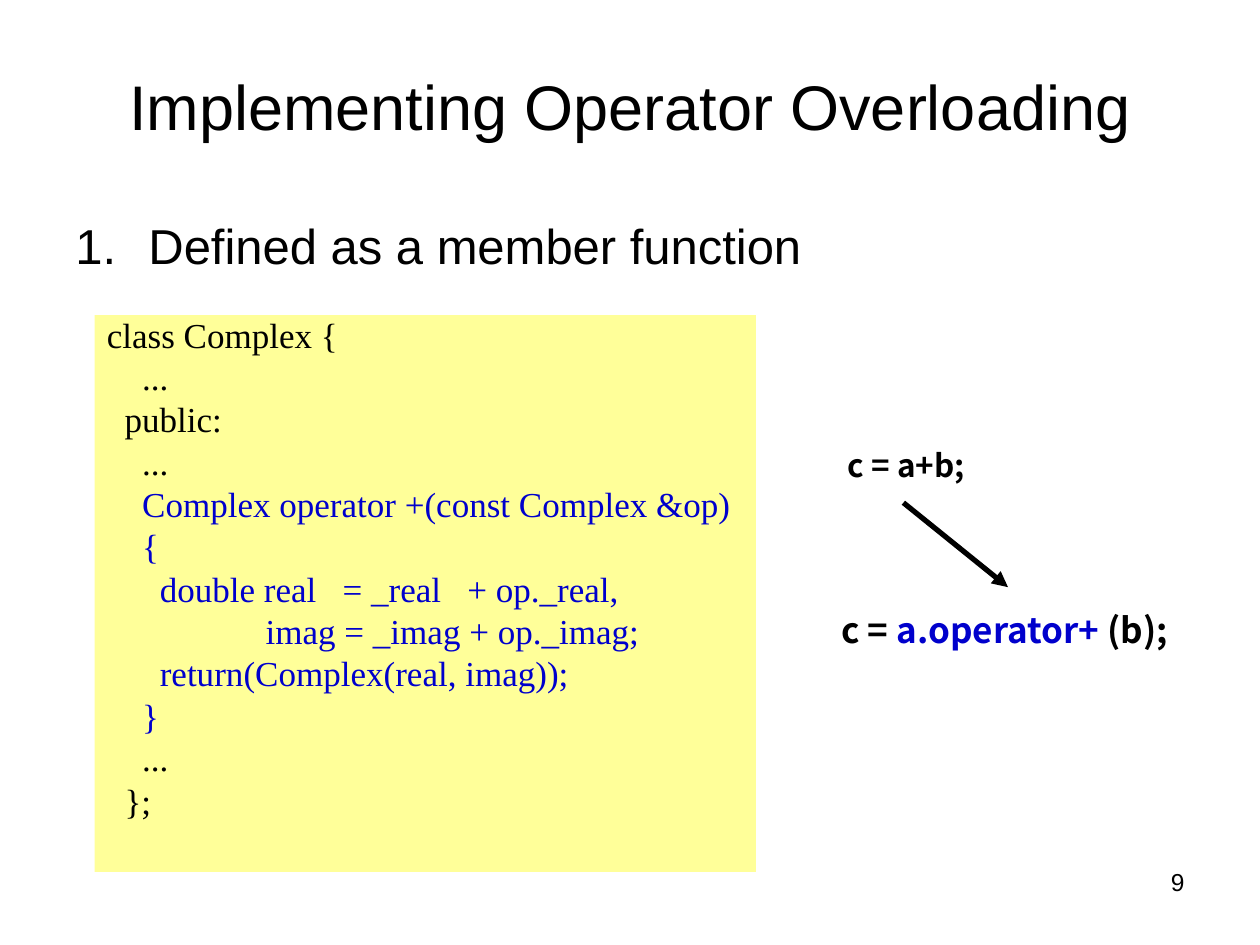
"""Build a slide on implementing operator overloading as a member function."""
from lxml.etree import SubElement
from pptx import Presentation
from pptx.dml.color import RGBColor
from pptx.enum.shapes import MSO_CONNECTOR, MSO_SHAPE
from pptx.enum.text import MSO_ANCHOR, MSO_AUTO_SIZE, PP_ALIGN
from pptx.oxml.ns import qn
from pptx.util import Inches, Pt

BLACK = RGBColor(0x00, 0x00, 0x00)
BLUE = RGBColor(0x00, 0x00, 0xCC)
YELLOW = RGBColor(0xFF, 0xFF, 0x99)
SANS, SERIF, CODE_CALL = "Arial", "Times New Roman", "Noto Sans CJK KR"
SPACE_WIDTH = 0.07

CODE_LINES = [
    (0, "class Complex {", BLACK),
    (4, "...", BLACK),
    (2, "public:", BLACK),
    (4, "...", BLACK),
    (4, "Complex operator +(const Complex &op)", BLUE),
    (4, "{", BLUE),
    (6, "double real   = _real   + op._real,", BLUE),
    (18, "imag = _imag + op._imag;", BLUE),
    (6, "return(Complex(real, imag));", BLUE),
    (4, "}", BLUE),
    (4, "...", BLACK),
    (2, "};", BLACK),
]


def add_run(paragraph, text, font_name, size, color=BLACK, bold=False):
    run = paragraph.add_run()
    run.text = text
    run.font.name = font_name
    run.font.size = Pt(size)
    run.font.color.rgb = color
    run.font.bold = bold


def add_text_box(slide, left, top, width, height, wrap=True):
    box = slide.shapes.add_textbox(Inches(left), Inches(top), Inches(width), Inches(height))
    box.text_frame.word_wrap = wrap
    return box.text_frame


presentation = Presentation()
presentation.slide_width = Inches(10)
presentation.slide_height = Inches(7.5)
slide = presentation.slides.add_slide(presentation.slide_layouts[5])

title = slide.shapes.title
title.left, title.top = Inches(0), Inches(0.42)
title.width, title.height = Inches(10), Inches(0.83)
title.text_frame.vertical_anchor = MSO_ANCHOR.MIDDLE
paragraph = title.text_frame.paragraphs[0]
paragraph.alignment = PP_ALIGN.CENTER
add_run(paragraph, "Implementing Operator Overloading", SANS, 36)

paragraph = add_text_box(slide, 0.5, 1.75, 9, 0.5).paragraphs[0]
paragraph.line_spacing = 0.8
paragraph.space_before = Pt(7)
properties = paragraph._p.get_or_add_pPr()
properties.set("marL", str(Inches(0.58)))
properties.set("indent", str(-Inches(0.58)))
SubElement(properties, qn("a:buFont"), typeface=SANS)
SubElement(properties, qn("a:buAutoNum"), type="arabicPeriod")
add_run(paragraph, "Defined as a member function", SANS, 28)

code_panel = slide.shapes.add_shape(
    MSO_SHAPE.RECTANGLE, Inches(0.75), Inches(2.5), Inches(5.25), Inches(4.42))
code_panel.shadow.inherit = False
code_panel.fill.solid()
code_panel.fill.fore_color.rgb = YELLOW
code_panel.line.fill.background()
text_frame = code_panel.text_frame
text_frame.word_wrap = True
text_frame.vertical_anchor = MSO_ANCHOR.TOP
for index, (depth, code, color) in enumerate(CODE_LINES):
    paragraph = text_frame.add_paragraph() if index else text_frame.paragraphs[0]
    paragraph.alignment = PP_ALIGN.LEFT
    paragraph.line_spacing = 0.8
    paragraph.space_before = Pt(5)
    properties = paragraph._p.get_or_add_pPr()
    properties.set("marL", str(Inches(depth * SPACE_WIDTH)))
    properties.set("indent", "0")
    add_run(paragraph, code, SERIF, 20, color)

text_frame = add_text_box(slide, 6.63, 3.49, 1.13, 0.4, wrap=False)
text_frame.auto_size = MSO_AUTO_SIZE.SHAPE_TO_FIT_TEXT
add_run(text_frame.paragraphs[0], "c = a+b;", CODE_CALL, 18, bold=True)

arrow = slide.shapes.add_connector(
    MSO_CONNECTOR.STRAIGHT, Inches(7.17), Inches(3.99), Inches(8), Inches(4.66))
arrow.line.color.rgb = BLACK
arrow.line.width = Pt(3)
SubElement(arrow.line._get_or_add_ln(), qn("a:tailEnd"), type="triangle")
SubElement(arrow._element.spPr, qn("a:effectLst"))

text_frame = add_text_box(slide, 6.58, 4.82, 2.83, 0.7)
paragraph = text_frame.paragraphs[0]
paragraph.line_spacing = 0.9
paragraph.space_before = Pt(5)
for text, color in [("c = ", BLACK), ("a.operator+", BLUE), (" (b);", BLACK)]:
    add_run(paragraph, text, CODE_CALL, 20, color, bold=True)

paragraph = add_text_box(slide, 7.17, 6.83, 2.33, 0.52).paragraphs[0]
paragraph.alignment = PP_ALIGN.RIGHT
add_run(paragraph, "9", SANS, 14)

presentation.save("out.pptx")
